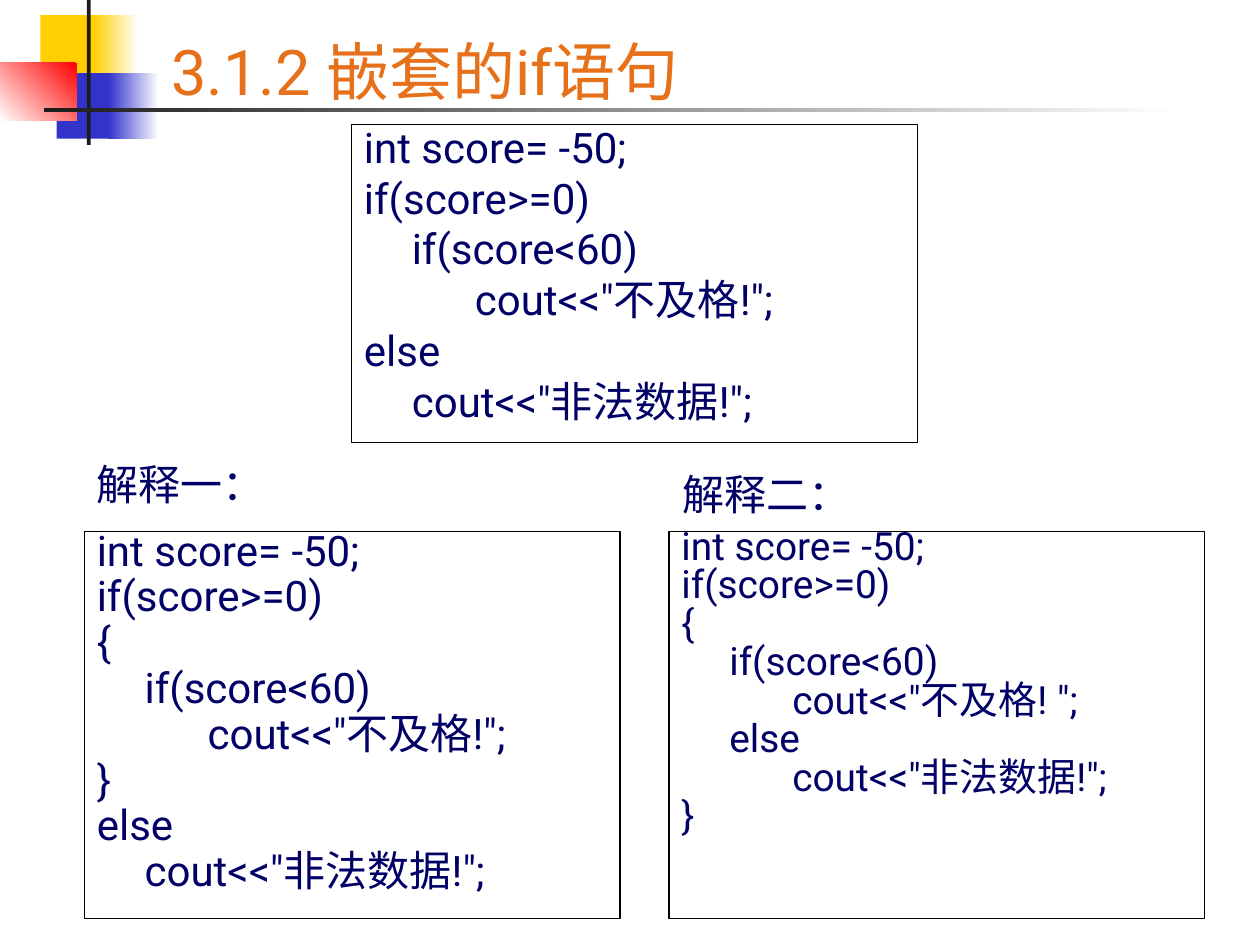
from pptx import Presentation
from pptx.dml.color import RGBColor
from pptx.enum.shapes import MSO_SHAPE as Shape
from pptx.enum.text import MSO_ANCHOR as Anchor, MSO_AUTO_SIZE as AutoSize, PP_ALIGN as Align
from pptx.oxml.ns import qn
from pptx.util import Inches, Pt
from lxml.etree import SubElement

COLORS = {
    "white": "FFFFFF", "yellow": "FFCF01", "blue": "3333CC", "red": "FF0000",
    "dark": "1C1C1C", "orange": "E6711A", "navy": "000066", "black": "000000",
}
FONT = "Roboto"
INDENT = Inches(0.38)

NESTED_IF = [
    "int score= -50;",
    "if(score>=0)",
    "\tif(score<60)",
    '\t\tcout<<"不及格!";',
    "else",
    '\tcout<<"非法数据!";',
]
OUTER_ELSE = NESTED_IF[:2] + ["{"] + NESTED_IF[2:4] + ["}"] + NESTED_IF[4:]
INNER_ELSE = NESTED_IF[:2] + [
    "{",
    "\tif(score<60)",
    '\t\tcout<<"不及格! ";',
    "\telse",
    '\t\tcout<<"非法数据!";',
    "}",
]


class SlideBuilder:
    def __init__(self, page):
        self.page = page

    def color(self, name):
        return RGBColor.from_string(COLORS[name])

    def rectangle(self, at):
        box = self.page.shapes.add_shape(Shape.RECTANGLE, *map(Inches, at))
        box.shadow.inherit = False
        return box

    def block(self, at, name):
        box = self.rectangle(at)
        box.fill.solid()
        box.fill.fore_color.rgb = self.color(name)
        box.line.fill.background()

    def fade(self, at, start, end, angle=180):
        box = self.rectangle(at)
        box.fill.gradient()
        box.fill.gradient_angle = angle
        for stop, name, position in zip(box.fill.gradient_stops, (start, end), (0, 1)):
            stop.color.rgb = self.color(name)
            stop.position = position
        box.line.fill.background()

    def add_span(self, para, text, size, name):
        span = para.add_run()
        span.text = text
        span.font.name = FONT
        span.font.size = Pt(size)
        span.font.color.rgb = self.color(name)

    def label(self, at, text, size=24, name="navy", anchor=Anchor.TOP, wrap=False):
        box = self.page.shapes.add_textbox(*map(Inches, at))
        frame = box.text_frame
        frame.word_wrap = wrap
        frame.auto_size = AutoSize.NONE if wrap else AutoSize.SHAPE_TO_FIT_TEXT
        frame.vertical_anchor = anchor
        self.add_span(frame.paragraphs[0], text, size, name)

    def code(self, at, lines, spacing, size=24):
        box = self.rectangle(at)
        box.fill.background()
        box.line.color.rgb = self.color("black")
        box.line.width = Pt(0.75)
        frame = box.text_frame
        frame.word_wrap = True
        frame.vertical_anchor = Anchor.TOP
        for number, line in enumerate(lines):
            para = frame.add_paragraph() if number else frame.paragraphs[0]
            self.indent(para)
            para.alignment = Align.LEFT
            para.line_spacing = spacing
            para.space_before = Pt(6 if number else 0)
            self.add_span(para, line, size, "navy")

    def indent(self, para):
        properties = para._p.get_or_add_pPr()
        properties.set("marL", str(INDENT))
        properties.set("indent", str(-INDENT))
        tabs = SubElement(properties, qn("a:tabLst"))
        for inch in range(8):
            SubElement(tabs, qn("a:tab"), pos=str(Inches(inch)), algn="l")


def main():
    deck = Presentation()
    deck.slide_width, deck.slide_height = Inches(10), Inches(7.5)
    builder = SlideBuilder(deck.slides.add_slide(deck.slide_layouts[6]))

    builder.block((0.32, 0.12, 0.48, 0.52), "yellow")
    builder.fade((0.74, 0.12, 0.36, 0.52), "white", "yellow")
    builder.block((0.45, 0.58, 0.46, 0.52), "blue")
    builder.fade((0.86, 0.58, 0.4, 0.52), "white", "blue")
    builder.fade((0, 0.5, 0.61, 0.46), "red", "white", angle=225)
    builder.block((0.69, 0, 0.03, 1.15), "dark")
    builder.fade((0.35, 0.86, 9, 0.03), "white", "dark")

    builder.label((1.26, 0.23, 8.52, 0.68), "3.1.2 嵌套的if语句", 36, "orange",
                  Anchor.BOTTOM, wrap=True)
    builder.code((2.79, 0.99, 4.49, 2.52), NESTED_IF, 0.8)
    builder.code((0.67, 4.22, 4.25, 3.07), OUTER_ELSE, 0.7)
    builder.code((5.31, 4.22, 4.25, 3.07), INNER_ELSE, 0.6, size=22.2)
    builder.label((0.67, 3.59, 1.53, 0.5), "解释一：")
    builder.label((5.32, 3.67, 1.53, 0.5), "解释二：")

    deck.save("out.pptx")


if __name__ == "__main__":
    main()
